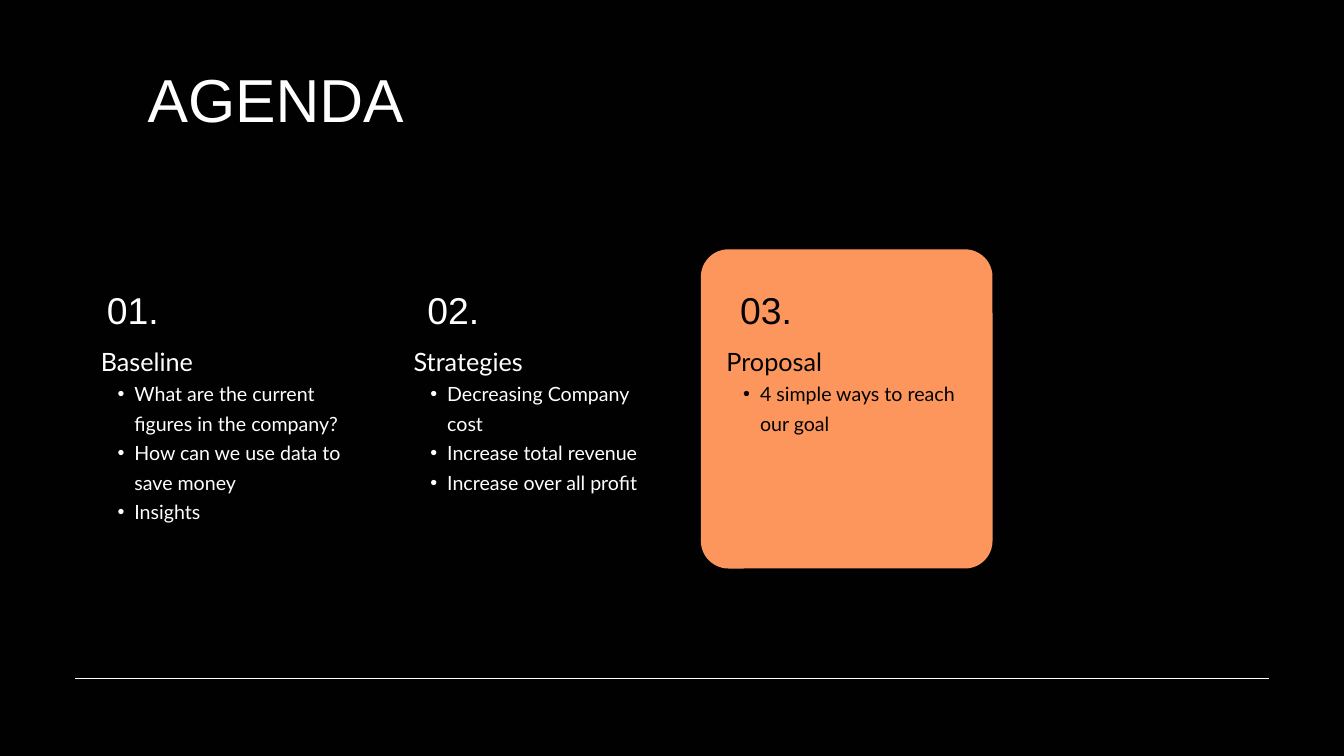
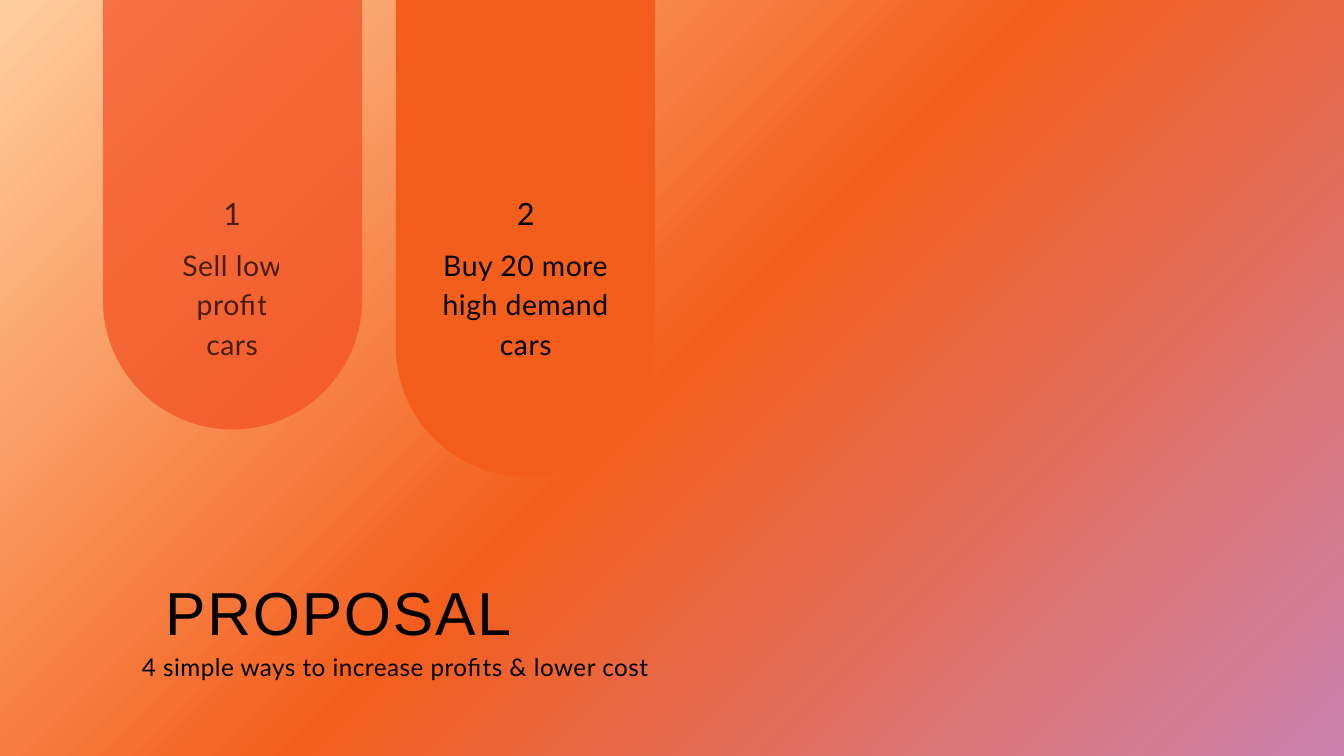
from lxml import etree
from pptx import Presentation
from pptx import util as u
from pptx.dml.color import RGBColor
from pptx.enum import shapes, text
from pptx.oxml.ns import qn

BLACK = RGBColor(0x00, 0x00, 0x00)
INK = RGBColor(0x01, 0x01, 0x01)
WHITE = RGBColor(0xFF, 0xFF, 0xFF)
PEACH = RGBColor(0xFD, 0x96, 0x5C)
ORANGE = RGBColor(0xF3, 0x5E, 0x1D)
RED_ORANGE = RGBColor(0xF3, 0x4E, 0x21)
CREAM = RGBColor(0xFF, 0xCE, 0x9E)
MAUVE = RGBColor(0xCB, 0x83, 0xAE)

HEADING_FONT, BODY_FONT = "Arial", "Lato"
CENTER, LEFT = text.PP_ALIGN.CENTER, text.PP_ALIGN.LEFT

# Agenda columns: number, number width, heading, points
AGENDA = [
    ("01.", 0.95, "Baseline", ["What are the current figures in the company?",
                               "How can we use data to save money", "Insights"]),
    ("02.", 1.18, "Strategies", ["Decreasing Company cost", "Increase total revenue",
                                 "Increase over all profit"]),
    ("03.", 1.18, "Proposal", ["4 simple ways to reach our goal"]),
]
COLUMN_LEFT, COLUMN_STEP = 1.5, 4.655

# Proposal pills: left, height, colour, opacity, text left, lines
PILLS = [
    (1.53, 7.28, RED_ORANGE, 70, 1.88, ["Sell low", "profit", "cars"]),
    (5.89, 7.98, ORANGE, 100, 6.25, ["Buy 20 more high demand cars"]),
]


# Shared helpers
def set_opacity(element, percent):
    if percent < 100:
        color = element.find(".//" + qn("a:srgbClr"))
        etree.SubElement(color, qn("a:alpha")).set("val", str(percent * 1000))


def add_text_box(slide, left, top, width, height):
    box = slide.shapes.add_textbox(*map(u.Inches, (left, top, width, height)))
    frame = box.text_frame
    frame.word_wrap = True
    frame.margin_left = frame.margin_right = frame.margin_top = frame.margin_bottom = 0
    return frame


def write(frame, words, size, leading, color, font=BODY_FONT, align=CENTER,
          tracking=0, opacity=100):
    """Add a styled paragraph, using the empty first one when there is one."""
    first = frame.paragraphs[0]
    paragraph = frame.add_paragraph() if first.runs else first
    paragraph.add_run().text = words
    paragraph.alignment = align
    paragraph.line_spacing = u.Pt(leading)
    paragraph.font.name = font
    paragraph.font.size = u.Pt(size)
    paragraph.font.color.rgb = color
    properties = paragraph._p.find(".//" + qn("a:defRPr"))
    if tracking:
        properties.set("spc", str(round(tracking * 100)))
    set_opacity(properties, opacity)
    return paragraph


def add_bullet(paragraph):
    properties = paragraph._p.pPr
    properties.set("marL", str(u.Inches(0.5)))
    properties.set("indent", str(u.Inches(-0.25)))
    defaults = properties.find(qn("a:defRPr"))
    for tag, key, value in (("a:buFont", "typeface", "Arial"), ("a:buChar", "char", "•")):
        bullet = etree.Element(qn(tag))
        bullet.set(key, value)
        defaults.addprevious(bullet)


def add_title(slide, words, left, top, width, leading, color, tracking=0):
    frame = add_text_box(slide, left, top, width, 1.3)
    write(frame, words, 65, leading, color, HEADING_FONT, tracking=tracking)


def add_filled_shape(slide, kind, left, top, width, height, color, opacity=100):
    shape = slide.shapes.add_shape(kind, *map(u.Inches, (left, top, width, height)))
    shape.shadow.inherit = False
    shape.fill.solid()
    shape.fill.fore_color.rgb = color
    shape.line.fill.background()
    set_opacity(shape._element.spPr, opacity)
    return shape


def add_rule(slide, left, right, top):
    rule = slide.shapes.add_connector(
        shapes.MSO_CONNECTOR.STRAIGHT, *map(u.Inches, (left, top, right, top)))
    rule.line.color.rgb = WHITE
    rule.line.width = u.Pt(1.5)
    etree.SubElement(rule._element.spPr, qn("a:effectLst"))


def set_gradient_background(slide, start, middle, end):
    fill = slide.background.fill
    fill.gradient()
    fill.gradient_angle = 315
    stops = fill.gradient_stops
    stops[0].color.rgb, stops[1].color.rgb = start, end
    stop_list = slide.element.find(".//" + qn("a:gsLst"))
    stop = etree.Element(qn("a:gs"))
    stop.set("pos", "50000")
    etree.SubElement(stop, qn("a:srgbClr")).set("val", str(middle))
    stop_list.insert(1, stop)


# Parts of the slides
def add_agenda_column(slide, left, number, number_width, heading, points, color):
    frame = add_text_box(slide, left, 4.1, number_width, 0.82)
    write(frame, number, 40, 60, color, HEADING_FONT)
    frame = add_text_box(slide, left, 5.04, 3.68, 0.56 + 0.44 * 2 * len(points))
    write(frame, heading, 27, 40.5, color, align=LEFT)
    for point in points:
        paragraph = write(frame, point, 21, 31.5, color, align=LEFT)
        paragraph.level = 1
        add_bullet(paragraph)


def add_pill(slide, number, left, height, color, opacity, text_left, lines):
    pill = add_filled_shape(slide, shapes.MSO_SHAPE.ROUND_2_SAME_RECTANGLE,
                            left, -0.89, 3.86, height, color, opacity)
    pill.adjustments[0], pill.adjustments[1] = 0, 0.5
    frame = add_text_box(slide, text_left, 2.9, 3.15, 0.54)
    write(frame, str(number), 32.8, 39.3, BLACK, tracking=3.3, opacity=opacity)
    frame = add_text_box(slide, text_left, 3.6, 3.15, 1.72)
    for line in lines:
        write(frame, line, 30.4, 42.6, BLACK, tracking=0.6, opacity=opacity)


def build_agenda(slide):
    slide.background.fill.solid()
    slide.background.fill.fore_color.rgb = INK
    add_title(slide, "AGENDA", 1, 0.65, 6.21, 97.5, WHITE)
    card = add_filled_shape(slide, shapes.MSO_SHAPE.ROUNDED_RECTANGLE,
                            10.43, 3.71, 4.34, 4.75, PEACH)
    card.adjustments[0] = 0.41 / 4.34
    for index, column in enumerate(AGENDA):
        color = INK if index == 2 else WHITE
        add_agenda_column(slide, COLUMN_LEFT + index * COLUMN_STEP, *column, color)
    add_rule(slide, 1.12, 18.88, 10.1)


def build_proposal(slide):
    set_gradient_background(slide, CREAM, ORANGE, MAUVE)
    for number, pill in enumerate(PILLS, start=1):
        add_pill(slide, number, *pill)
    add_title(slide, "PROPOSAL", 1.12, 8.47, 7.83, 84.5, BLACK, tracking=1.9)
    frame = add_text_box(slide, -0.22, 9.63, 12.21, 0.49)
    write(frame, "4 simple ways to increase profits & lower cost", 26, 36.4, BLACK,
          tracking=0.5)


def main():
    presentation = Presentation()
    presentation.slide_width = u.Inches(20)
    presentation.slide_height = u.Inches(11.25)
    blank = presentation.slide_layouts[6]
    for build in (build_agenda, build_proposal):
        build(presentation.slides.add_slide(blank))
    presentation.save("out.pptx")


if __name__ == "__main__":
    main()
